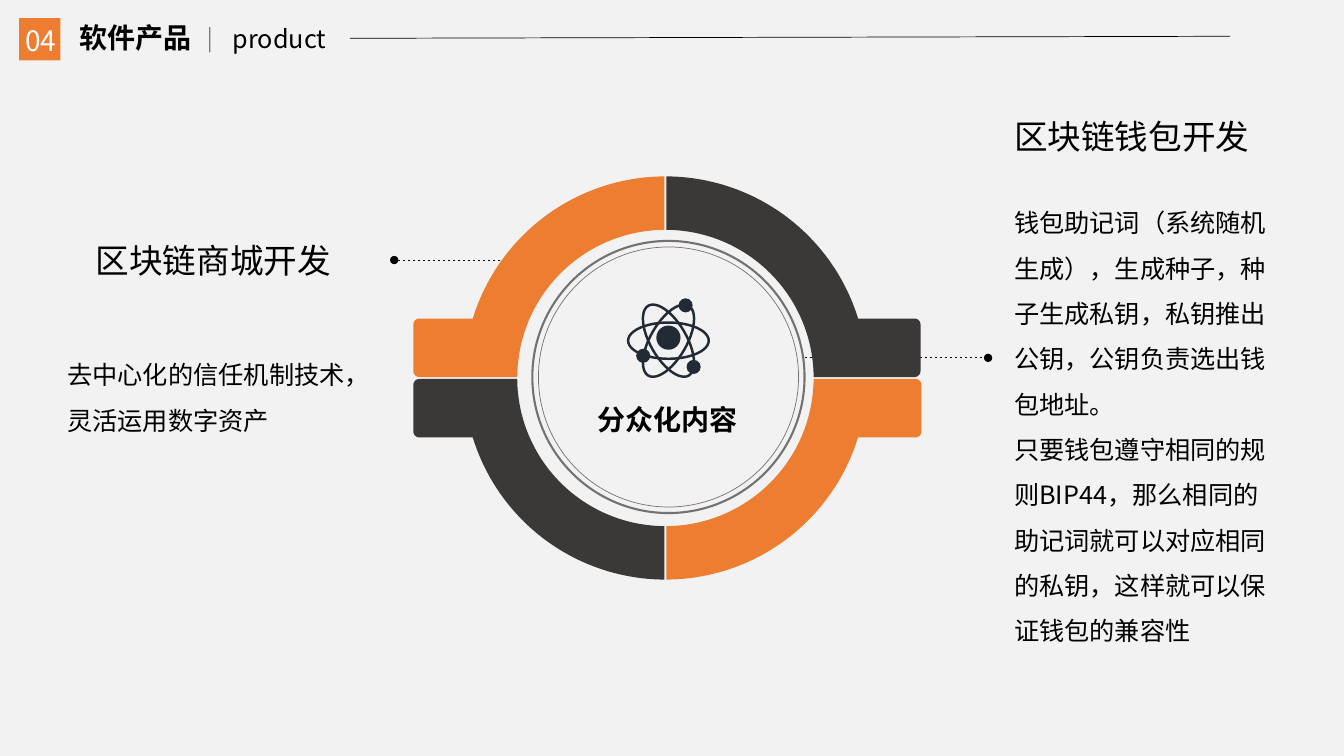
import math
from dataclasses import dataclass

import lxml.etree
import pptx
import pptx.dml.color
import pptx.enum.dml
import pptx.enum.shapes
import pptx.enum.text
import pptx.oxml.ns
import pptx.util
from pptx.util import Inches

ALIGN = pptx.enum.text.PP_ALIGN
ANCHOR = pptx.enum.text.MSO_ANCHOR
SHAPE = pptx.enum.shapes.MSO_SHAPE


@dataclass(frozen=True)
class Theme:
    """Colours, font and type sizes of the slide."""
    font: str = "Noto Sans CJK SC"
    background: str = "F2F2F2"
    accent: str = "ED7D31"
    dark: str = "3B3838"
    icon: str = "222A35"
    ring: str = "767171"
    ink: str = "000000"
    paper: str = "FFFFFF"
    body: int = 18
    title: int = 20
    heading: int = 24


THEME = Theme()


@dataclass(frozen=True)
class Label:
    """A text box; place is left, top, width, height in inches."""
    place: tuple[float, float, float, float]
    text: str
    size: int
    color: str = THEME.ink
    bold: bool = False
    align: ALIGN = ALIGN.LEFT
    anchor: ANCHOR = ANCHOR.TOP
    wrap: bool = True
    spacing: float = 1.0


@dataclass(frozen=True)
class Rule:
    """A straight line from start to end, in inches."""
    start: tuple[float, float]
    end: tuple[float, float]
    width: float = 0.5
    dotted_end: bool = False
    opacity: int = 100


@dataclass(frozen=True)
class Quarter:
    """A quarter of the ring with a side tab; signs point away from the centre."""
    side: int
    drop: int
    reach: float
    color: str


@dataclass(frozen=True)
class Oval:
    """An oval by centre and radii in inches, filled when line_width is 0."""
    center: tuple[float, float]
    radii: tuple[float, float]
    color: str
    line_width: float = 0
    turn: float = 0


RING_CENTER = (6.6, 3.75)
OUTER, INNER = 2.0, 1.47
GAP, TAB_HEIGHT, CORNER = 0.01, 0.59, 0.06
DISC = (6.63, 3.74)
ATOM = (6.63, 3.38)

GUIDES = [
    Rule((7.98, 3.55), (9.8, 3.55), dotted_end=True),
    Rule((5.46, 2.58), (3.91, 2.58), dotted_end=True),
]
HEADER_RULES = [
    Rule((2.08, 0.27), (2.08, 0.52), width=1, opacity=49),
    Rule((3.47, 0.38), (12.2, 0.36)),
]
QUARTERS = [
    Quarter(1, 1, 2.54, THEME.accent),
    Quarter(-1, -1, 2.5, THEME.accent),
    Quarter(1, -1, 2.53, THEME.dark),
    Quarter(-1, 1, 2.5, THEME.dark),
]
OVALS = [
    *(Oval(ATOM, (0.4, 0.18), THEME.icon, 1.75, turn) for turn in (0, 60, 120)),
    Oval((6.8, 3.03), (0.07, 0.07), THEME.icon),
    Oval((6.38, 3.53), (0.07, 0.07), THEME.icon),
    Oval((6.88, 3.64), (0.07, 0.07), THEME.icon),
    Oval((6.63, 3.35), (0.12, 0.12), THEME.icon),
    Oval(DISC, (1.35, 1.35), THEME.ring, 1.5),
    Oval(DISC, (1.29, 1.29), THEME.ring, 0.5),
]
LABELS = [
    Label((0, 0.18, 0.81, 0.44), "04", THEME.title, THEME.paper,
          align=ALIGN.CENTER, anchor=ANCHOR.MIDDLE),
    Label((5.83, 3.94, 1.62, 0.44), "分众化内容", THEME.title, bold=True,
          anchor=ANCHOR.MIDDLE),
    Label((0.85, 2.33, 2.53, 0.5), "区块链商城开发", THEME.heading, wrap=False),
    Label((9.96, 1.1, 2.56, 0.5), "区块链钱包开发", THEME.heading, wrap=False),
    Label((9.96, 1.86, 2.72, 4.59),
          "钱包助记词（系统随机生成），生成种子，种子生成私钥，私钥推出公钥，"
          "公钥负责选出钱包地址。\n"
          "只要钱包遵守相同的规则BIP44，那么相同的助记词就可以对应相同的私钥，"
          "这样就可以保证钱包的兼容性", THEME.body, spacing=1.5),
    Label((0.57, 3.37, 3.03, 0.96), "去中心化的信任机制技术，灵活运用数字资产",
          THEME.body, spacing=1.5),
    Label((0.69, 0.15, 1.91, 0.44), "软件产品", THEME.title, bold=True,
          anchor=ANCHOR.MIDDLE),
    Label((2.21, 0.18, 1.25, 0.4), "product", THEME.body),
]


def rgb(color: str) -> pptx.dml.color.RGBColor:
    """Turn a hex string into a colour."""
    return pptx.dml.color.RGBColor.from_string(color)


def add_xml(parent, tag: str, **attributes: str) -> None:
    """Append an empty drawing element to parent."""
    lxml.etree.SubElement(parent, pptx.oxml.ns.qn(tag), attributes)


def paint(shape, color: str) -> None:
    """Give a shape a flat fill without line or shadow."""
    shape.shadow.inherit = False
    shape.fill.solid()
    shape.fill.fore_color.rgb = rgb(color)
    shape.line.fill.background()


def add_label(page, label: Label) -> None:
    """Draw one text box."""
    box = page.shapes.add_textbox(*map(Inches, label.place))
    frame = box.text_frame
    frame.text = label.text
    frame.word_wrap = label.wrap
    frame.auto_size = pptx.enum.text.MSO_AUTO_SIZE.SHAPE_TO_FIT_TEXT
    frame.vertical_anchor = label.anchor
    for para in frame.paragraphs:
        para.alignment = label.align
        para.line_spacing = label.spacing
        for span in para.runs:
            span.font.name = THEME.font
            span.font.size = pptx.util.Pt(label.size)
            span.font.bold = label.bold
            span.font.color.rgb = rgb(label.color)
            add_xml(span.font._element, "a:ea", typeface=THEME.font)


def add_rule(page, rule: Rule) -> None:
    """Draw one line, dashed with a round end when it is a guide."""
    connector = page.shapes.add_connector(
        pptx.enum.shapes.MSO_CONNECTOR.STRAIGHT,
        *map(Inches, rule.start + rule.end))
    connector.line.width = pptx.util.Pt(rule.width)
    connector.line.color.rgb = rgb(THEME.ink)
    properties = connector._element.spPr
    outline = properties.find(pptx.oxml.ns.qn("a:ln"))
    if rule.dotted_end:
        connector.line.dash_style = pptx.enum.dml.MSO_LINE.DASH
        add_xml(outline, "a:tailEnd", type="oval")
    if rule.opacity < 100:
        tint = outline.find(".//" + pptx.oxml.ns.qn("a:srgbClr"))
        add_xml(tint, "a:alpha", val=str(rule.opacity * 1000))
    add_xml(properties, "a:effectLst")


def arc(center: tuple[float, float], radius: float, start: float, end: float,
        steps: int) -> list[tuple[float, float]]:
    """List points along an arc between two angles in radians."""
    angles = [start + (end - start) * step / steps for step in range(steps + 1)]
    return [(center[0] + radius * math.cos(angle),
             center[1] + radius * math.sin(angle)) for angle in angles]


def add_quarter(page, quarter: Quarter) -> None:
    """Draw one quarter of the ring with its rounded tab."""
    right = math.pi / 2
    tab_x = quarter.reach - CORNER
    outline = [
        *arc((0, 0), OUTER, right - GAP / OUTER, math.asin(TAB_HEIGHT / OUTER), 60),
        *arc((tab_x, TAB_HEIGHT - CORNER), CORNER, right, 0, 8),
        *arc((tab_x, GAP + CORNER), CORNER, 0, -right, 8),
        *arc((0, 0), INNER, GAP / INNER, right - GAP / INNER, 60),
    ]
    points = [(Inches(RING_CENTER[0] + quarter.side * x),
               Inches(RING_CENTER[1] + quarter.drop * y)) for x, y in outline]
    builder = page.shapes.build_freeform(*points[0])
    builder.add_line_segments(points[1:], close=True)
    paint(builder.convert_to_shape(), quarter.color)


def add_oval(page, oval: Oval) -> None:
    """Draw one filled or outlined oval."""
    (x, y), (across, down) = oval.center, oval.radii
    shape = page.shapes.add_shape(SHAPE.OVAL, *map(
        Inches, (x - across, y - down, 2 * across, 2 * down)))
    paint(shape, oval.color)
    shape.rotation = oval.turn
    if oval.line_width:
        shape.fill.background()
        shape.line.color.rgb = rgb(oval.color)
        shape.line.width = pptx.util.Pt(oval.line_width)


def main() -> None:
    """Build and save the slide."""
    deck = pptx.Presentation()
    deck.slide_width, deck.slide_height = Inches(13.33), Inches(7.5)
    page = deck.slides.add_slide(deck.slide_layouts[6])
    page.background.fill.solid()
    page.background.fill.fore_color.rgb = rgb(THEME.background)
    badge = page.shapes.add_shape(
        SHAPE.RECTANGLE, *map(Inches, (0.19, 0.18, 0.41, 0.42)))
    paint(badge, THEME.accent)
    for draw, items in ((add_rule, GUIDES), (add_quarter, QUARTERS),
                        (add_oval, OVALS), (add_label, LABELS),
                        (add_rule, HEADER_RULES)):
        for item in items:
            draw(page, item)
    deck.save("out.pptx")


main()
